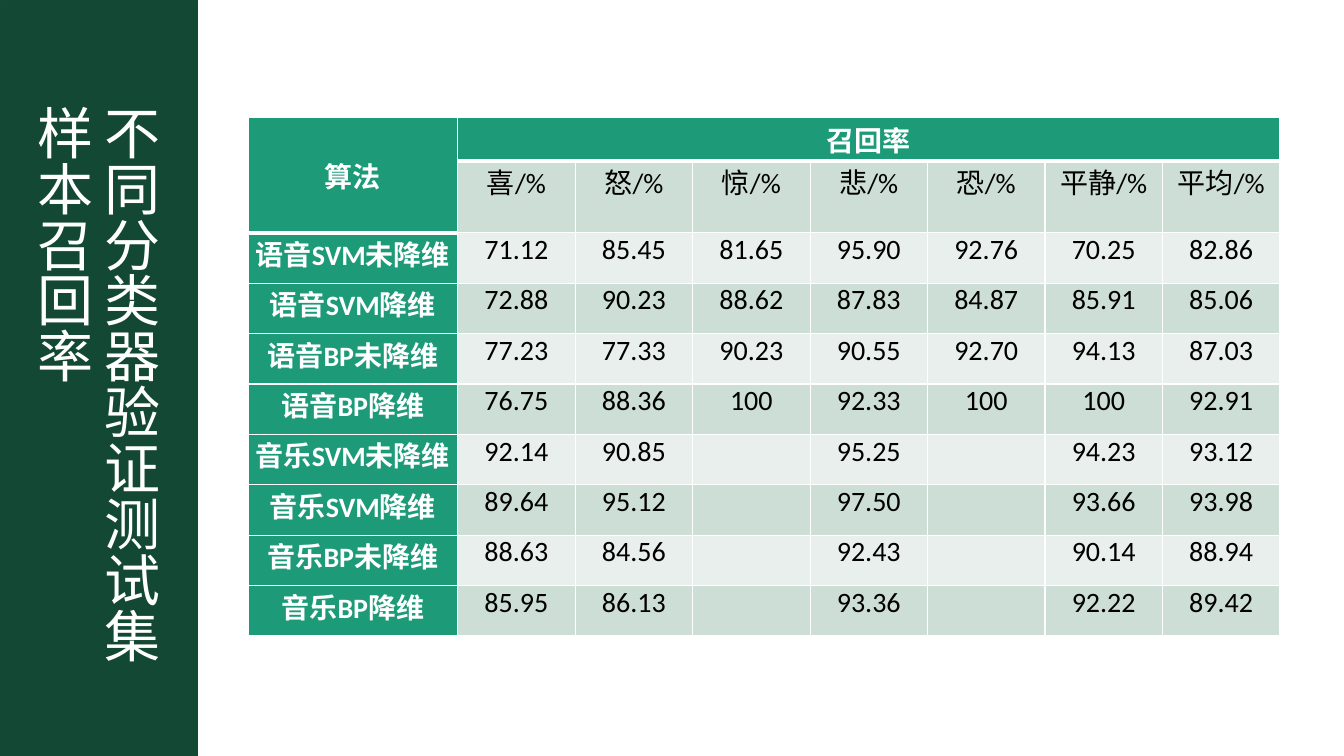
from dataclasses import dataclass

from lxml.etree import SubElement
from pptx import Presentation
from pptx.dml.color import RGBColor
from pptx.enum.shapes import MSO_SHAPE
from pptx.enum.text import MSO_ANCHOR, MSO_AUTO_SIZE, PP_ALIGN
from pptx.oxml import parse_xml
from pptx.oxml.ns import nsdecls, qn
from pptx.slide import Slide
from pptx.table import _Cell
from pptx.text.text import TextFrame
from pptx.util import Inches, Pt

WHITE = RGBColor(0xFF, 0xFF, 0xFF)
BLACK = RGBColor(0x00, 0x00, 0x00)
HEADER_GREEN = RGBColor(0x1D, 0x9A, 0x78)
DARK_BAND = RGBColor(0xCD, 0xDE, 0xD6)
LIGHT_BAND = RGBColor(0xE8, 0xEF, 0xEC)
PANEL_GREEN = RGBColor(0x13, 0x48, 0x34)
PANEL_LINE = RGBColor(0x14, 0x4A, 0x35)

LATIN_FONT = "Calibri"
CHINESE_FONT = "Noto Sans CJK SC"

HEADER_HEIGHTS = (0.44, 0.71)
BODY_HEIGHT = 0.5
LABEL_WIDTH = 2.08
VALUE_WIDTH = 1.165


@dataclass(frozen=True)
class Recall:
    algorithm: str
    values: tuple[str, ...]


EMOTIONS = ("喜/%", "怒/%", "惊/%", "悲/%", "恐/%", "平静/%", "平均/%")
RECALLS = (
    Recall("语音SVM未降维", ("71.12", "85.45", "81.65", "95.90", "92.76", "70.25", "82.86")),
    Recall("语音SVM降维", ("72.88", "90.23", "88.62", "87.83", "84.87", "85.91", "85.06")),
    Recall("语音BP未降维", ("77.23", "77.33", "90.23", "90.55", "92.70", "94.13", "87.03")),
    Recall("语音BP降维", ("76.75", "88.36", "100", "92.33", "100", "100", "92.91")),
    Recall("音乐SVM未降维", ("92.14", "90.85", "", "95.25", "", "94.23", "93.12")),
    Recall("音乐SVM降维", ("89.64", "95.12", "", "97.50", "", "93.66", "93.98")),
    Recall("音乐BP未降维", ("88.63", "84.56", "", "92.43", "", "90.14", "88.94")),
    Recall("音乐BP降维", ("85.95", "86.13", "", "93.36", "", "92.22", "89.42")),
)


def write_text(frame: TextFrame, text: str, *, size: float, color: RGBColor,
               font: str = LATIN_FONT, bold: bool = False,
               align: PP_ALIGN = PP_ALIGN.CENTER) -> None:
    paragraph = frame.paragraphs[0]
    paragraph.alignment = align
    run = paragraph.add_run()
    run.text = text
    run.font.size = Pt(size)
    run.font.bold = bold
    run.font.name = font
    run.font.color.rgb = color
    SubElement(run.font._element, qn("a:ea"), typeface=CHINESE_FONT)


def add_borders(cell: _Cell, bottom_width: float) -> None:
    """Put white lines on all four sides, ahead of the fill as the schema asks."""
    properties = cell._tc.get_or_add_tcPr()
    for index, side in enumerate("LRTB"):
        width = Pt(bottom_width if side == "B" else 1)
        properties.insert(index, parse_xml(
            f'<a:ln{side} {nsdecls("a")} w="{width}"><a:solidFill>'
            f'<a:srgbClr val="{WHITE}"/></a:solidFill></a:ln{side}>'))


def format_cell(cell: _Cell, text: str, fill: RGBColor, *, header: bool = False,
                anchor: MSO_ANCHOR = MSO_ANCHOR.TOP, bottom_width: float = 1) -> None:
    cell.margin_left = cell.margin_right = cell.margin_top = cell.margin_bottom = 0
    cell.vertical_anchor = anchor
    cell.fill.solid()
    cell.fill.fore_color.rgb = fill
    add_borders(cell, bottom_width)
    if text:
        write_text(cell.text_frame, text, size=20, bold=header,
                   color=WHITE if header else BLACK)


def add_recall_table(slide: Slide) -> None:
    row_heights = HEADER_HEIGHTS + (BODY_HEIGHT,) * len(RECALLS)
    column_widths = (LABEL_WIDTH,) + (VALUE_WIDTH,) * len(EMOTIONS)
    table = slide.shapes.add_table(
        len(row_heights), len(column_widths), Inches(2.46), Inches(1.16),
        Inches(sum(column_widths)), Inches(sum(row_heights))).table
    table.first_row = table.horz_banding = False
    for row, height in zip(table.rows, row_heights):
        row.height = Inches(height)
    for column, width in zip(table.columns, column_widths):
        column.width = Inches(width)

    header_texts = {(0, 0): "算法", (0, 1): "召回率"}
    header_cells = [(0, column) for column in range(len(column_widths))] + [(1, 0)]
    for row, column in header_cells:
        format_cell(table.cell(row, column), header_texts.get((row, column), ""),
                    HEADER_GREEN, header=True, anchor=MSO_ANCHOR.MIDDLE, bottom_width=3)
    table.cell(0, 0).merge(table.cell(1, 0))
    table.cell(0, 1).merge(table.cell(0, len(EMOTIONS)))

    for column, emotion in enumerate(EMOTIONS, start=1):
        format_cell(table.cell(1, column), emotion, DARK_BAND)
    for row, recall in enumerate(RECALLS, start=2):
        format_cell(table.cell(row, 0), recall.algorithm, HEADER_GREEN, header=True)
        band = DARK_BAND if row % 2 else LIGHT_BAND
        for column, value in enumerate(recall.values, start=1):
            format_cell(table.cell(row, column), value, band)


def add_side_panel(slide: Slide) -> None:
    panel = slide.shapes.add_shape(MSO_SHAPE.RECTANGLE, 0, 0, Inches(1.96), Inches(7.5))
    panel.shadow.inherit = False
    panel.fill.solid()
    panel.fill.fore_color.rgb = PANEL_GREEN
    panel.line.color.rgb = PANEL_LINE
    panel.line.width = Pt(1)


def place_vertical_title(slide: Slide) -> None:
    title = slide.shapes.title
    title.left, title.top = Inches(-0.49), Inches(0.99)
    title.width, title.height = Inches(2.22), Inches(5.69)
    frame = title.text_frame
    frame.word_wrap = True
    frame.auto_size = MSO_AUTO_SIZE.NONE
    frame.vertical_anchor = MSO_ANCHOR.TOP
    frame._txBody.bodyPr.set("vert", "eaVert")
    write_text(frame, "不同分类器验证测试集样本召回率", size=40, color=WHITE,
               font=CHINESE_FONT, align=PP_ALIGN.LEFT)
    slide.shapes._spTree.append(title._element)  # bring in front of the panel


def main() -> None:
    presentation = Presentation()
    presentation.slide_width = Inches(13.33)
    presentation.slide_height = Inches(7.5)
    slide = presentation.slides.add_slide(presentation.slide_layouts[5])
    add_recall_table(slide)
    add_side_panel(slide)
    place_vertical_title(slide)
    presentation.save("out.pptx")


if __name__ == "__main__":
    main()
